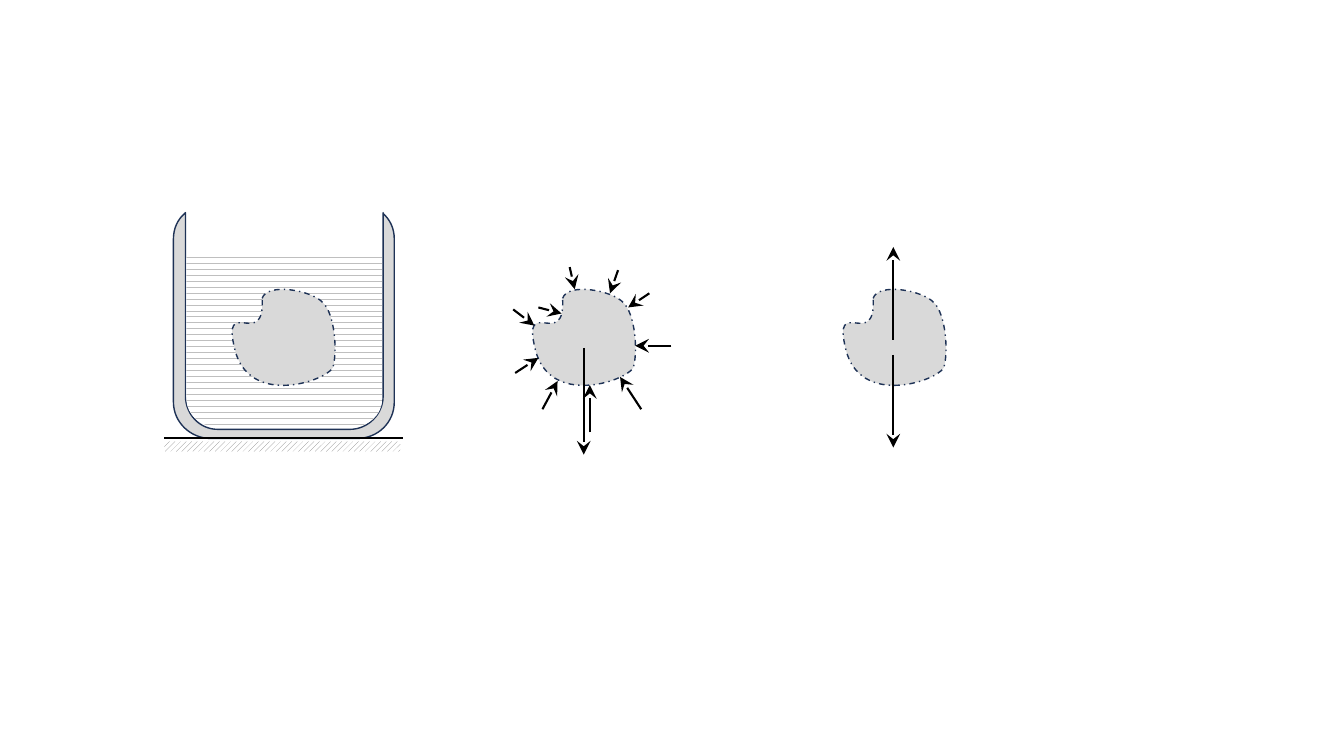
from lxml import etree
from pptx import Presentation
from pptx.dml.color import RGBColor
from pptx.enum import dml, shapes
from pptx.oxml import ns
from pptx.util import Inches, Pt

BLACK = RGBColor(0x00, 0x00, 0x00)
WHITE = RGBColor(0xFF, 0xFF, 0xFF)
NAVY = RGBColor(0x1E, 0x32, 0x56)
BODY_GREY = RGBColor(0xD9, 0xD9, 0xD9)
WATER_GREY = RGBColor(0xBF, 0xBF, 0xBF)
HATCH_GREY = RGBColor(0x80, 0x80, 0x80)


def add_outline(box, segments, shift=0, dash=None, pattern=None):
    left, top, width, height = box
    builder = page.shapes.build_freeform(Inches(left + shift), Inches(top))
    builder.add_line_segments([(Inches(left + shift + width), Inches(top + height))])
    outline = builder.convert_to_shape()
    track = next(outline._element.iter(ns.qn("a:path")))
    for step in list(track):
        track.remove(step)
    for index, segment in enumerate(segments):
        kind = "a:moveTo" if index == 0 else "a:lnTo" if len(segment) == 2 else "a:cubicBezTo"
        step = etree.SubElement(track, ns.qn(kind))
        for x, y in zip(segment[::2], segment[1::2]):
            etree.SubElement(step, ns.qn("a:pt"),
                             x=str(Inches(x - left)), y=str(Inches(y - top)))
    etree.SubElement(track, ns.qn("a:close"))
    outline.shadow.inherit = False
    if pattern:
        outline.fill.patterned()
        outline.fill.pattern = pattern
        outline.fill.fore_color.rgb = WATER_GREY
        outline.fill.back_color.rgb = WHITE
        outline.line.fill.background()
    else:
        outline.fill.solid()
        outline.fill.fore_color.rgb = BODY_GREY
        outline.line.color.rgb = NAVY
        outline.line.width = Pt(1)
        outline.line.dash_style = dash


def add_line(parent, x1, y1, x2, y2, arrow=True):
    line = parent.add_connector(shapes.MSO_CONNECTOR.STRAIGHT,
                                Inches(x1), Inches(y1), Inches(x2), Inches(y2))
    line.line.color.rgb = BLACK
    line.line.width = Pt(1.5)
    if arrow:
        etree.SubElement(line.line._get_or_add_ln(), ns.qn("a:tailEnd"),
                         type="stealth", w="lg", len="lg")
    etree.SubElement(line._element.spPr, ns.qn("a:effectLst"))


deck = Presentation()
deck.slide_width, deck.slide_height = Inches(13.33), Inches(7.5)
page = deck.slides.add_slide(deck.slide_layouts[6])

add_outline((1.72, 2.11, 2.19, 2.24), [
    (3.8, 2.11), (3.8, 2.12), (3.87, 2.18, 3.91, 2.27, 3.91, 2.37),
    (3.91, 3.99), (3.91, 4.19, 3.75, 4.35, 3.54, 4.35),
    (2.09, 4.35), (1.89, 4.35, 1.72, 4.19, 1.72, 3.99),
    (1.72, 2.37), (1.72, 2.27, 1.76, 2.18, 1.83, 2.12),
    (1.84, 2.11), (1.84, 3.93), (1.84, 4.11, 1.98, 4.26, 2.16, 4.26),
    (3.47, 4.26), (3.65, 4.26, 3.8, 4.11, 3.8, 3.93),
])

ground = page.shapes.add_group_shape()
hatching = ground.shapes.add_shape(shapes.MSO_SHAPE.RECTANGLE, Inches(1.63),
                                   Inches(4.38), Inches(2.34), Inches(0.1))
hatching.shadow.inherit = False
hatching.fill.patterned()
hatching.fill.pattern = dml.MSO_PATTERN.WIDE_UPWARD_DIAGONAL
hatching.fill.fore_color.rgb = HATCH_GREY
hatching.fill.back_color.rgb = WHITE
hatching.line.fill.background()
add_line(ground.shapes, 1.63, 4.35, 4, 4.35, arrow=False)

add_outline((1.85, 2.55, 1.94, 1.69), [
    (1.85, 2.55), (3.79, 2.55), (3.79, 3.96), (3.79, 4.12, 3.65, 4.24, 3.47, 4.24),
    (2.18, 4.24), (2, 4.24, 1.85, 4.12, 1.85, 3.96),
], pattern=dml.MSO_PATTERN.DASHED_HORIZONTAL)

weight_and_pressure = [
    (5.79, 3.45, 5.79, 4.51), (5.65, 2.65, 5.7, 2.87), (6.13, 2.68, 6.05, 2.91),
    (6.44, 2.91, 6.23, 3.05), (6.66, 3.43, 6.3, 3.43), (6.36, 4.06, 6.15, 3.74),
    (5.85, 4.29, 5.85, 3.82), (5.38, 4.06, 5.53, 3.78), (5.11, 3.7, 5.34, 3.55),
    (5.09, 3.07, 5.3, 3.23), (5.34, 3.05, 5.57, 3.11),
]
weight_and_buoyancy = [(8.86, 3.52, 8.86, 4.44), (8.86, 3.37, 8.86, 2.45)]

for shift, forces in [(0, []), (2.98, weight_and_pressure), (6.06, weight_and_buoyancy)]:
    add_outline((2.3, 2.87, 1.02, 0.95), [
        (2.6, 2.96), (2.65, 2.8, 3.09, 2.88, 3.2, 3), (3.32, 3.11, 3.35, 3.49, 3.3, 3.65),
        (3.21, 3.79, 2.47, 4.03, 2.33, 3.47), (2.19, 2.91, 2.63, 3.49, 2.6, 2.96),
    ], shift=shift, dash=dml.MSO_LINE.DASH_DOT)
    for force in forces:
        add_line(page.shapes, *force)

deck.save("out.pptx")
